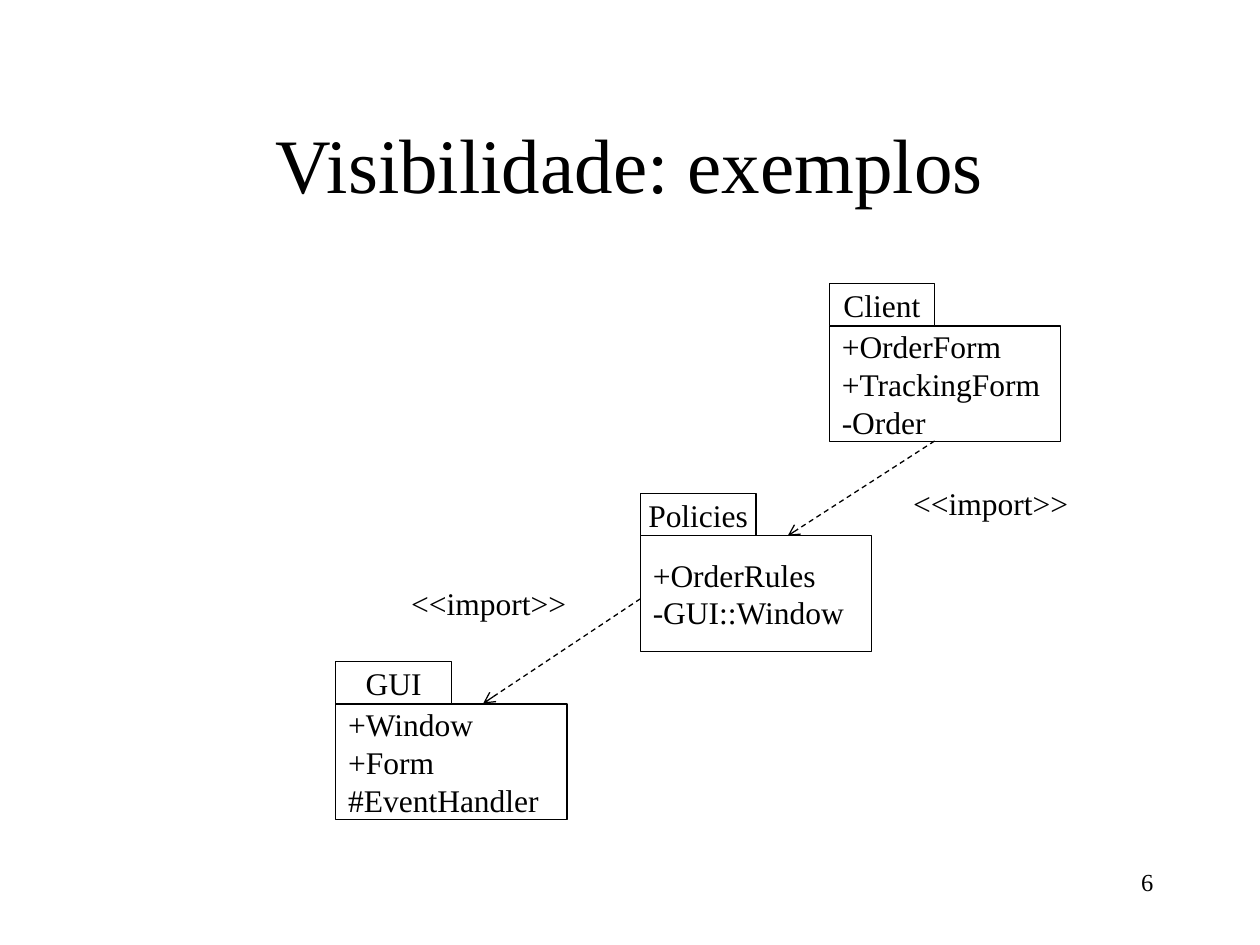
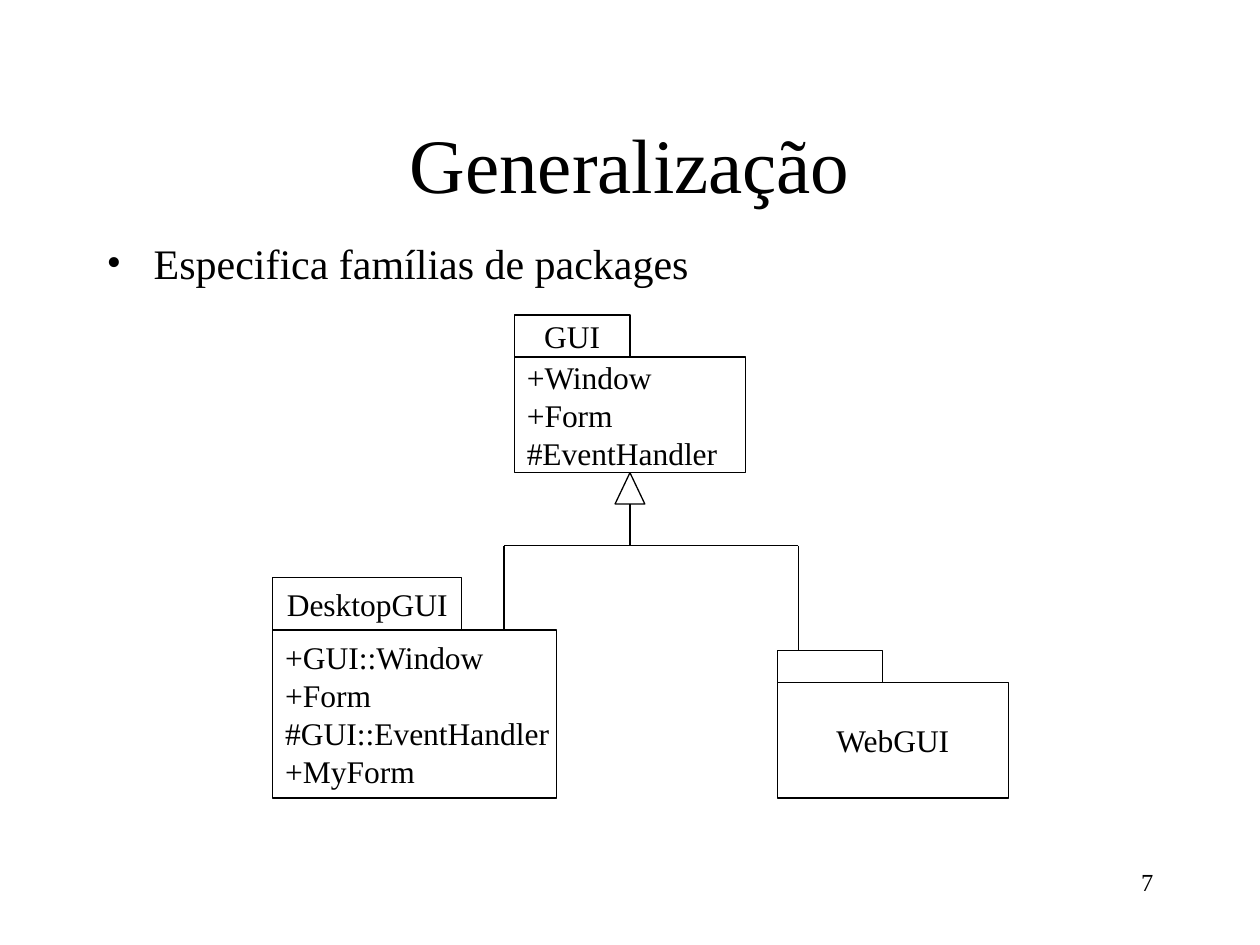
from lxml import etree
from pptx import Presentation
from pptx.dml.color import RGBColor
from pptx.enum.dml import MSO_LINE
from pptx.enum.shapes import MSO_CONNECTOR, MSO_SHAPE
from pptx.enum.text import MSO_ANCHOR, PP_ALIGN
from pptx.oxml.ns import qn
from pptx.util import Cm, Pt

FONT = "Times New Roman"
BLACK = "000000"
WHITE = "FFFFFF"
LINE_WIDTH = Pt(0.75)
TITLE_ONLY = 5


def rgb(color):
    return RGBColor.from_string(color)


def set_text(sp, lines, size=18, align=PP_ALIGN.LEFT, wrap=False,
             anchor=MSO_ANCHOR.TOP):
    tf = sp.text_frame
    tf.text = "\n".join(lines)
    tf.word_wrap = wrap
    tf.vertical_anchor = anchor
    for p in tf.paragraphs:
        p.alignment = align
        for r in p.runs:
            r.font.name = FONT
            r.font.size = Pt(size)
            r.font.color.rgb = rgb(BLACK)


def add_text(slide, box, text, **style):
    sp = slide.shapes.add_textbox(*map(Cm, box))
    set_text(sp, [text], **style)
    return sp


def add_bullet(slide, box, text):
    sp = add_text(slide, box, text, size=24, wrap=True)
    pPr = sp.text_frame.paragraphs[0]._p.get_or_add_pPr()
    pPr.set("marL", str(Cm(0.95)))
    pPr.set("indent", str(-Cm(0.95)))
    color = etree.SubElement(pPr, qn("a:buClr"))
    etree.SubElement(color, qn("a:srgbClr"), val=BLACK)
    etree.SubElement(pPr, qn("a:buFont"), typeface=FONT)
    etree.SubElement(pPr, qn("a:buChar"), char="•")


def add_outlined(slide, kind, box):
    """Add a white shape with a thin black outline."""
    sp = slide.shapes.add_shape(kind, *map(Cm, box))
    sp.shadow.inherit = False
    sp.fill.solid()
    sp.fill.fore_color.rgb = rgb(WHITE)
    sp.line.color.rgb = rgb(BLACK)
    sp.line.width = LINE_WIDTH
    return sp


def add_package(slide, left, top, name, members, tab=(2.33, 0.85),
                body=(4.66, 2.33), align=PP_ALIGN.LEFT):
    """Add a UML package: a body with its members and a name tab on top."""
    parts = (((left, top + tab[1], *body), members, align),
             ((left, top, *tab), [name], PP_ALIGN.CENTER))
    for box, lines, alignment in parts:
        sp = add_outlined(slide, MSO_SHAPE.RECTANGLE, box)
        set_text(sp, lines, align=alignment, anchor=MSO_ANCHOR.MIDDLE)


def add_line(slide, start, end):
    line = slide.shapes.add_connector(MSO_CONNECTOR.STRAIGHT,
                                      *map(Cm, (*start, *end)))
    line.line.color.rgb = rgb(BLACK)
    line.line.width = LINE_WIDTH
    etree.SubElement(line._element.spPr, qn("a:effectLst"))
    return line


def add_dependency(slide, start, end, label_at):
    """Add a dashed import arrow and its label."""
    arrow = add_line(slide, start, end)
    arrow.line.dash_style = MSO_LINE.DASH
    etree.SubElement(arrow.line._get_or_add_ln(), qn("a:tailEnd"), type="arrow")
    add_text(slide, (*label_at, 3.63, 1.02), "<<import>>")


def add_slide(prs, title, number):
    slide = prs.slides.add_slide(prs.slide_layouts[TITLE_ONLY])
    sp = slide.shapes.title
    sp.left, sp.top, sp.width, sp.height = map(Cm, (1.9, 1.69, 21.6, 3.18))
    set_text(sp, [title], size=44, align=PP_ALIGN.CENTER, wrap=True,
             anchor=MSO_ANCHOR.MIDDLE)
    add_text(slide, (18.2, 17.35, 5.3, 1.27), str(number), size=14,
             align=PP_ALIGN.RIGHT, wrap=True)
    return slide


def add_visibility_slide(prs, gui_members):
    slide = add_slide(prs, "Visibilidade: exemplos", 6)
    add_package(slide, 16.72, 5.72, "Client",
                ["+OrderForm", "+TrackingForm", "-Order"], tab=(2.12, 0.85))
    add_package(slide, 12.91, 9.95, "Policies", ["+OrderRules", "-GUI::Window"])
    add_package(slide, 6.77, 13.34, "GUI", gui_members)
    add_dependency(slide, (18.84, 8.89), (15.88, 10.8), (18.16, 9.63))
    add_dependency(slide, (12.91, 12.07), (9.74, 14.18), (8.04, 11.64))


def add_generalization_slide(prs, gui_members):
    slide = add_slide(prs, "Generalização", 7)
    add_bullet(slide, (1.9, 4.66, 22.23, 11.43), "Especifica famílias de packages")
    add_package(slide, 10.37, 6.35, "GUI", gui_members)
    add_package(slide, 5.5, 11.64, "DesktopGUI",
                ["+GUI::Window", "+Form", "#GUI::EventHandler", "+MyForm"],
                tab=(3.81, 1.06), body=(5.72, 3.39))
    add_package(slide, 15.67, 13.12, "", ["WebGUI"], tab=(2.12, 0.64),
                align=PP_ALIGN.CENTER)

    parent_x, desktop_x, web_x, branch_y = 12.7, 10.16, 16.09, 11
    add_outlined(slide, MSO_SHAPE.ISOSCELES_TRIANGLE,
                 (parent_x - 0.3, 9.53, 0.6, 0.63))
    add_line(slide, (parent_x, 10.16), (parent_x, branch_y))
    add_line(slide, (desktop_x, branch_y), (web_x, branch_y))
    add_line(slide, (desktop_x, branch_y), (desktop_x, 12.7))
    add_line(slide, (web_x, branch_y), (web_x, 13.12))


def main():
    prs = Presentation()
    prs.slide_width, prs.slide_height = Cm(25.4), Cm(19.05)
    gui_members = ["+Window", "+Form", "#EventHandler"]
    add_visibility_slide(prs, gui_members)
    add_generalization_slide(prs, gui_members)
    prs.save("out.pptx")


if __name__ == "__main__":
    main()
